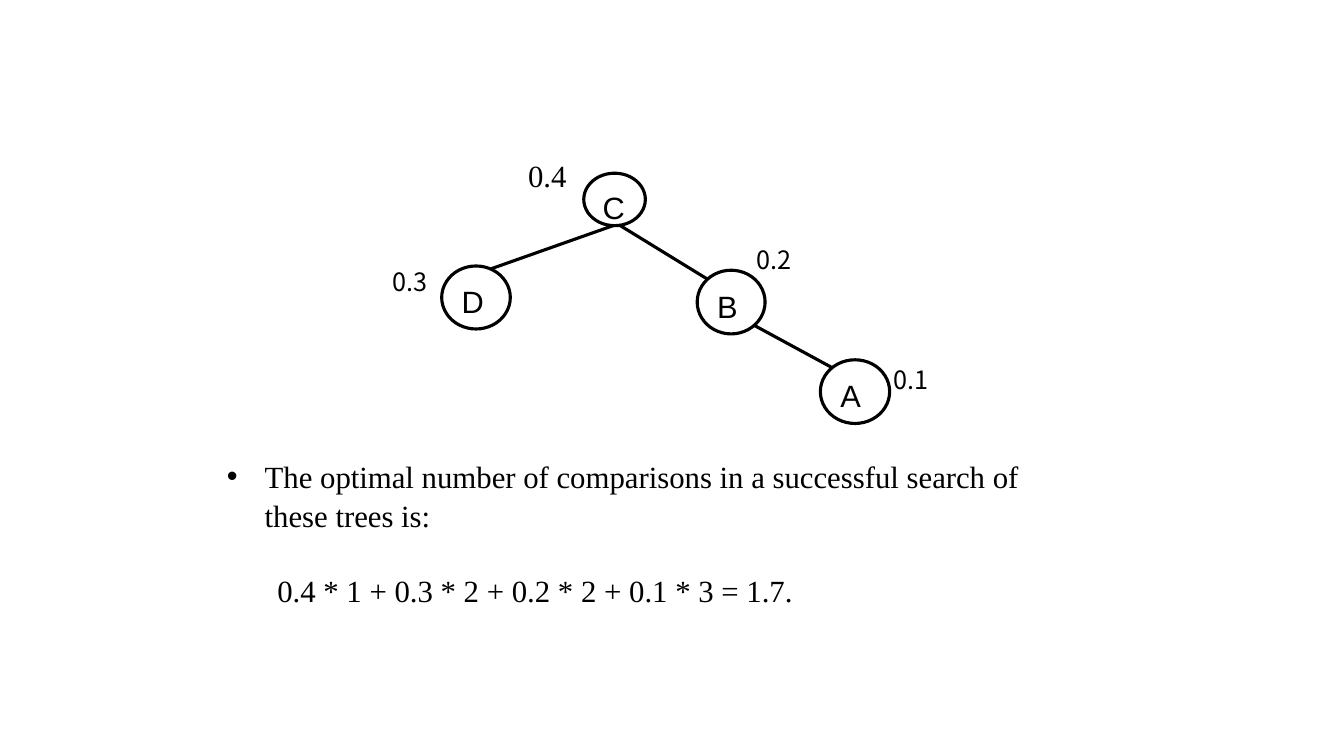
from pptx import Presentation
from pptx.dml.color import RGBColor
from pptx.enum.shapes import MSO_CONNECTOR as Connector, MSO_SHAPE as Shape
from pptx.enum.text import MSO_ANCHOR as Anchor, PP_ALIGN as Align
from pptx.oxml.ns import qn
from pptx.util import Pt
from lxml.etree import SubElement

BLACK, WHITE = "000000", "FFFFFF"
SERIF, SANS, CJK = "Times New Roman", "Arial", "Noto Sans CJK SC"
LINE_WIDTH = 2.25
LINE_SPACING = 1.05

NODES = {
    "C": (139.5, 33.7, 44, 37.5),
    "D": (38, 100, 49, 45),
    "B": (220.5, 103, 48.5, 45.5),
    "A": (308.5, 167, 49.5, 45.5),
}
EDGES = [
    (161, 71, 70.5, 103),
    (164.5, 70.5, 228, 109.5),
    (260.5, 142, 318.5, 173.5),
]
PROBABILITIES = [
    ("0.4", 87, 18.7, 48, 34, 22, SERIF),
    ("0.3", -9, 96.5, 45.5, 29, 18, CJK),
    ("0.2", 251.5, 81, 45.5, 29, 18, CJK),
    ("0.1", 349, 167, 45.5, 29, 18, CJK),
]


def color(value):
    """Turn a hex string into a colour."""
    return RGBColor.from_string(value)


def write(paragraph, text, font=SERIF, size=22, spacing=None, before=None):
    """Write formatted black text into a paragraph."""
    paragraph.text = text
    paragraph.alignment = Align.LEFT
    if spacing:
        paragraph.line_spacing = spacing
    if before:
        paragraph.space_before = Pt(before)
    paragraph.font.name = font
    paragraph.font.size = Pt(size)
    paragraph.font.color.rgb = color(BLACK)


def set_indent(paragraph, margin, indent, bullet=None):
    """Set the hanging or first-line indent and an optional bullet."""
    properties = paragraph._p.get_or_add_pPr()
    properties.set("marL", str(Pt(margin)))
    properties.set("indent", str(Pt(indent)))
    if bullet:
        SubElement(properties, qn("a:buFont")).set("typeface", SANS)
        SubElement(properties, qn("a:buChar")).set("char", bullet)


def add_edge(slide, x1, y1, x2, y2):
    """Draw a straight tree edge."""
    edge = slide.shapes.add_connector(
        Connector.STRAIGHT, Pt(x1), Pt(y1), Pt(x2), Pt(y2))
    edge.line.color.rgb = color(BLACK)
    edge.line.width = Pt(LINE_WIDTH)
    SubElement(edge._element.spPr, qn("a:effectLst"))


def add_node(slide, letter, left, top, width, height):
    """Draw a tree node with its letter."""
    node = slide.shapes.add_shape(
        Shape.OVAL, Pt(left), Pt(top), Pt(width), Pt(height))
    node.shadow.inherit = False
    node.fill.solid()
    node.fill.fore_color.rgb = color(WHITE)
    node.line.color.rgb = color(BLACK)
    node.line.width = Pt(LINE_WIDTH)
    frame = node.text_frame
    frame.vertical_anchor = Anchor.TOP
    frame.margin_top = Pt(5.5)
    frame.word_wrap = True
    write(frame.paragraphs[0], letter, font=SANS)


def add_probability(slide, text, left, top, width, height, size, font):
    """Place the probability beside a node."""
    label = slide.shapes.add_textbox(Pt(left), Pt(top), Pt(width), Pt(height))
    label.text_frame.word_wrap = False
    label.text_frame.margin_left = Pt(7.2 + size / 4)
    write(label.text_frame.paragraphs[0], text, font=font, size=size)


def add_tree(slide, left, top):
    """Draw the search tree from its top left corner."""
    for x1, y1, x2, y2 in EDGES:
        add_edge(slide, left + x1, top + y1, left + x2, top + y2)
    for letter, (x, y, width, height) in NODES.items():
        add_node(slide, letter, left + x, top + y, width, height)
    for text, x, y, *rest in PROBABILITIES:
        add_probability(slide, text, left + x, top + y, *rest)


def add_explanation(slide, left, top, width, height):
    """Write the bulleted statement and its formula."""
    box = slide.shapes.add_textbox(Pt(left), Pt(top), Pt(width), Pt(height))
    frame = box.text_frame
    frame.word_wrap = True
    statement = frame.paragraphs[0]
    set_indent(statement, 27, -27, bullet="•")
    write(statement, "The optimal number of comparisons in a successful "
          "search of these trees is:", spacing=LINE_SPACING)
    formula = frame.add_paragraph()
    set_indent(formula, 0, 36)
    write(formula, "0.4 * 1 + 0.3 * 2 + 0.2 * 2 + 0.1 * 3 = 1.7.",
          spacing=LINE_SPACING, before=26.5)


def main():
    """Build and save the slide."""
    presentation = Presentation()
    presentation.slide_width = Pt(960)
    presentation.slide_height = Pt(540)
    slide = presentation.slides.add_slide(presentation.slide_layouts[6])
    add_tree(slide, 277.5, 90)
    add_explanation(slide, 155, 322, 625.5, 114)
    presentation.save("out.pptx")


if __name__ == "__main__":
    main()
